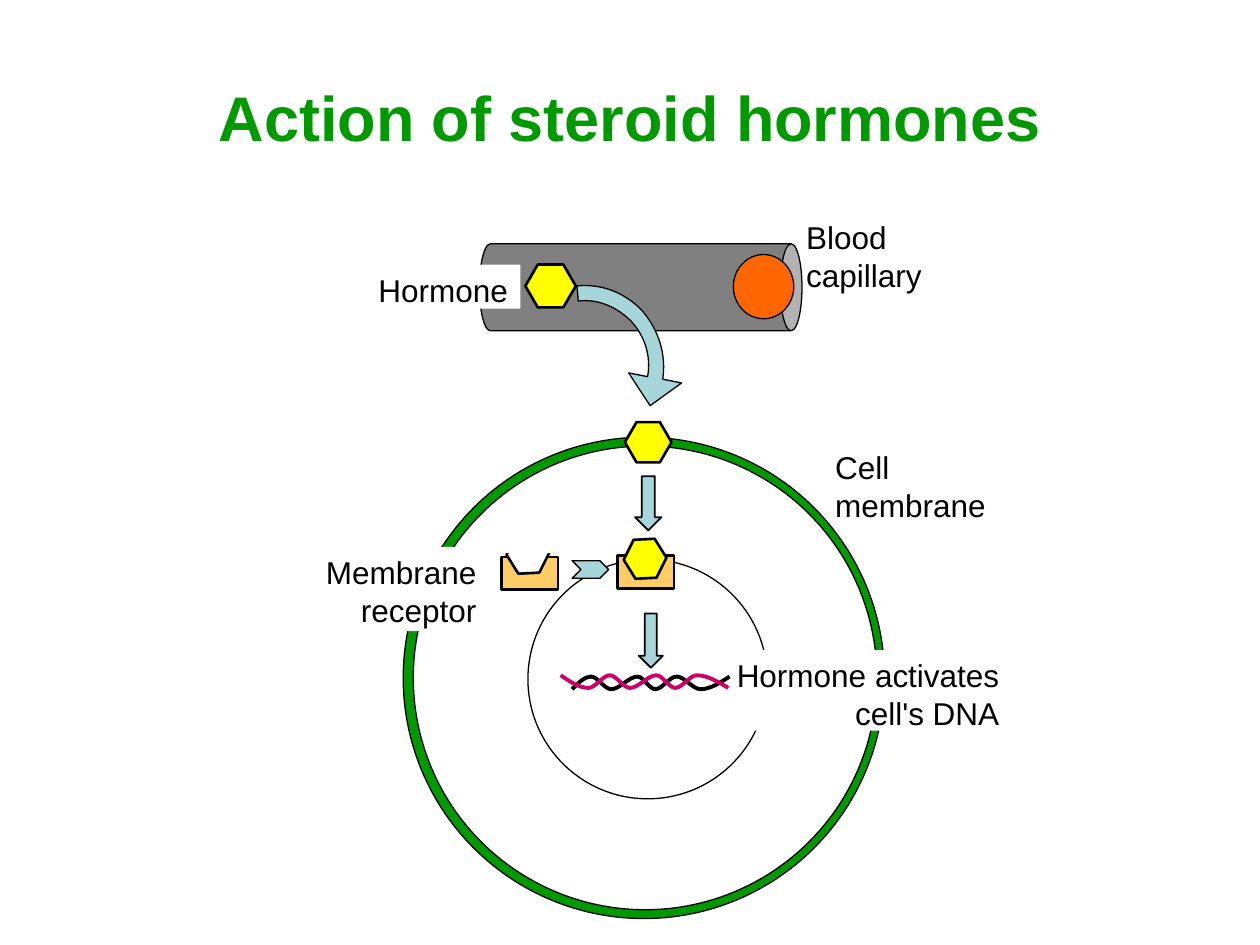
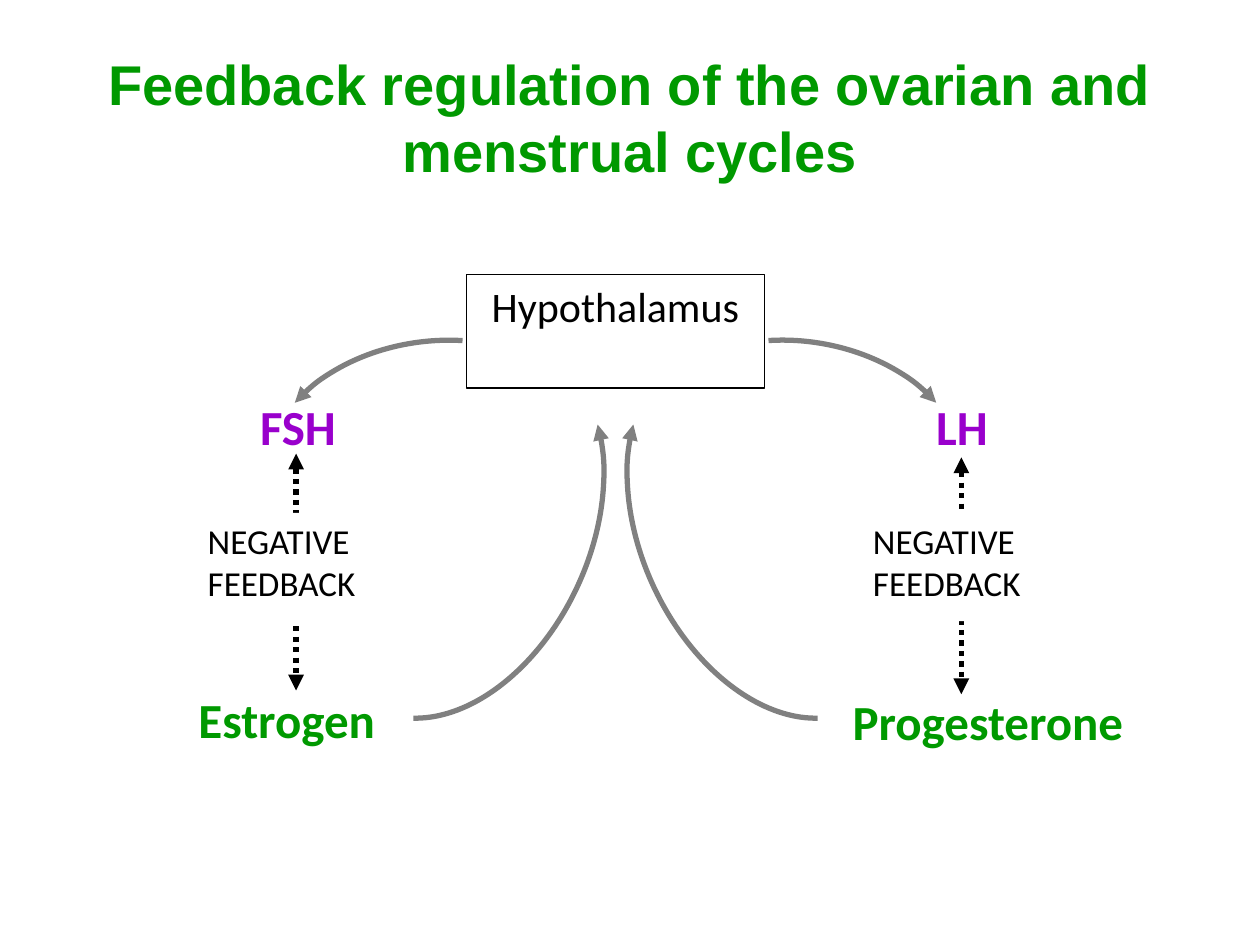
"""Build two slides on steroid hormone action and hormonal feedback."""
from itertools import pairwise

from lxml import etree
from pptx import Presentation
from pptx.dml.color import RGBColor
from pptx.enum import dml, shapes, text
from pptx.oxml.ns import qn
from pptx.util import Inches, Pt

COLORS = {
    "green": "009900", "white": "FFFFFF", "black": "000000", "gray": "808080",
    "orange": "FF6600", "yellow": "FFFF00", "sand": "FFCC66", "teal": "A6D6DA",
    "pink": "CC0066", "purple": "9900CC",
}
PRESET = shapes.MSO_SHAPE
ALIGN = text.PP_ALIGN
TITLE_BOX = (0.5, 0.3, 9, 1.25)

STEROID_TITLE = ("Action of steroid hormones", 36)
FEEDBACK_TITLE = ("Feedback regulation of the ovarian and menstrual cycles", 32)

CAPILLARY_LABELS = [
    ("Cell membrane", (6.53, 3.51, 1.7, 0.83), ALIGN.LEFT),
    ("Blood\ncapillary", (6.3, 1.68, 1.73, 0.77), ALIGN.LEFT),
]
HORMONE_LABEL = ("Hormone", (2.01, 2.1, 2.12, 0.35), ALIGN.RIGHT)
RECEPTOR_LABEL = ("Membrane receptor", (1.89, 4.34, 1.99, 0.67), ALIGN.RIGHT)
DNA_LABEL = ("Hormone activates\ncell's DNA", (5.61, 5.16, 2.42, 0.64), ALIGN.RIGHT)

CAPILLARY_AND_CELL = [
    (PRESET.CAN, (4.74, 1, 0.69, 2.56), "gray", 0.75, 90, 0.25),
    (PRESET.OVAL, (5.82, 2.02, 0.48, 0.51), "orange", 0.75, 0, None),
    (PRESET.HEXAGON, (4.17, 2.1, 0.4, 0.34), "yellow", 1.5, 0, 0.29),
    (PRESET.OVAL, (3.2, 3.47, 3.82, 3.82), "green", 0.75, 0, None),
    (PRESET.OVAL, (3.28, 3.54, 3.68, 3.68), "white", 0.75, 0, None),
    (PRESET.HEXAGON, (4.96, 3.35, 0.37, 0.32), "yellow", 1.5, 0, 0.29),
]
EMPTY_RECEPTOR = [
    (PRESET.RECTANGLE, (3.98, 4.42, 0.45, 0.26), "sand", 1.5, 0, None),
    (PRESET.HEXAGON, (4.02, 4.24, 0.34, 0.31), "white", 1.5, -2.8, 0.28),
    (PRESET.RECTANGLE, (4.01, 4.18, 0.39, 0.21), "white", None, 0, None),
]
NUCLEUS_AND_BOUND_RECEPTOR = [
    (PRESET.DOWN_ARROW, (5.04, 3.78, 0.21, 0.43), "teal", 1, 0, None),
    (PRESET.OVAL, (4.19, 4.44, 1.9, 1.9), "white", 0.75, 0, None),
    (PRESET.CHEVRON, (4.54, 4.45, 0.29, 0.14), "teal", 0.75, 0, None),
    (PRESET.RECTANGLE, (4.9, 4.41, 0.45, 0.26), "sand", 1.5, 0, None),
    (PRESET.HEXAGON, (4.95, 4.28, 0.34, 0.31), "yellow", 1.5, -2.8, 0.28),
]
DNA_ARROW = (PRESET.DOWN_ARROW, (5.07, 4.87, 0.19, 0.43), "teal", 1, 0, None)

EXIT_ARROW_START = (5.14, 2.99)
EXIT_ARROW = [
    [(5.17, 2.83), (5.12, 2.67), (5.01, 2.55)],
    [(4.9, 2.44), (4.75, 2.37), (4.59, 2.39)],
    [(4.58, 2.27)],
    [(4.77, 2.25), (4.96, 2.32), (5.1, 2.47)],
    [(5.23, 2.62), (5.29, 2.82), (5.26, 3.01)],
    [(5.41, 3.04)], [(5.16, 3.22)], [(4.99, 2.96)],
]
DNA_STRANDS = [
    ([4.54, 4.69, 4.85, 5.06, 5.2, 5.37, 5.56, 5.79], 5.47, 5.37, "black"),
    ([4.45, 4.67, 4.84, 5, 5.21, 5.36, 5.53, 5.78], 5.36, 5.46, "pink"),
]

FEEDBACK_LINES = [(7.63, 3.63, 5.51), (2.35, 3.6, 5.48)]
HYPOTHALAMUS = ("Hypothalamus", (3.7, 2.18, 2.37, 0.9))
HORMONES = [
    ("FSH", (1.8, 3.1, 1.13, 0.75), "purple"),
    ("LH", (7.07, 3.1, 1.13, 0.75), "purple"),
    ("Estrogen", (1.34, 5.42, 1.87, 0.77), "green"),
    ("Progesterone", (6.47, 5.44, 2.74, 0.9), "green"),
]
FEEDBACK_LEFTS = (1.55, 6.83)
RIGHT_ARCS = [
    ((5.09, 2.66, 2.05, 3.12), -24.8, 100.6, 242.8),
    ((5.42, 2.32, 1.85, 2.63), 98.5, 156.7, 239.5),
]
ARC_MIRROR = 9.77


def rgb(name):
    return RGBColor.from_string(COLORS[name])


def style(item, fill=None, weight=None, line="black"):
    item.shadow.inherit = False
    if fill:
        item.fill.solid()
        item.fill.fore_color.rgb = rgb(fill)
    else:
        item.fill.background()
    if weight:
        item.line.width = Pt(weight)
        item.line.color.rgb = rgb(line)
    else:
        item.line.fill.background()


def add_part(slide, preset, box, fill=None, weight=None, rotation=0, adjust=None, line="black"):
    part = slide.shapes.add_shape(preset, *map(Inches, box))
    style(part, fill, weight, line)
    part.rotation = rotation
    if adjust is not None:
        part.adjustments[0] = adjust
    return part


def write(frame, words, size, font, color="black", align=ALIGN.LEFT, bold=False,
          anchor=text.MSO_ANCHOR.TOP):
    frame.text = words
    frame.word_wrap = True
    frame.auto_size = text.MSO_AUTO_SIZE.NONE
    frame.vertical_anchor = anchor
    for paragraph in frame.paragraphs:
        paragraph.alignment = align
        paragraph.font.size = Pt(size)
        paragraph.font.name = font
        paragraph.font.bold = bold
        paragraph.font.color.rgb = rgb(color)


def add_label(slide, words, box, align, size=18, font="Arial", color="black",
              fill="white", weight=None, bold=False):
    label = add_part(slide, PRESET.RECTANGLE, box, fill, weight)
    write(label.text_frame, words, size, font, color, align, bold)


def add_titled_slide(deck, words, size):
    slide = deck.slides.add_slide(deck.slide_layouts[5])
    title = slide.shapes.title
    title.left, title.top, title.width, title.height = map(Inches, TITLE_BOX)
    write(title.text_frame, words, size, "Arial", "green", ALIGN.CENTER, True,
          text.MSO_ANCHOR.MIDDLE)
    return slide


def add_curve(slide, start, segments, close=False):
    """Draw a freeform whose three-point segments are Bezier curves."""
    builder = slide.shapes.build_freeform(*map(Inches, start), scale=1.0)
    points = [tuple(map(Inches, point)) for segment in segments for point in segment]
    builder.add_line_segments(points, close=close)
    curve = builder.convert_to_shape()
    steps = iter(list(curve._element.iter(qn("a:lnTo"))))
    for segment in segments:
        group = [next(steps) for _ in segment]
        if len(group) == 3:
            bezier = etree.Element(qn("a:cubicBezTo"))
            group[0].addprevious(bezier)
            for step in group:
                bezier.append(step[0])
                step.getparent().remove(step)
    return curve


def add_strand(slide, knots, first_y, second_y, color):
    ys = [(first_y, second_y)[i % 2] for i in range(len(knots))]
    middle = (first_y + second_y) / 2
    segments = []
    for (x0, y0), (x1, y1) in pairwise(zip(knots, ys)):
        third = (x1 - x0) / 3
        segments.append([
            (x0 + third, middle if x0 == knots[0] else y0),
            (x1 - third, middle if x1 == knots[-1] else y1),
            (x1, y1),
        ])
    style(add_curve(slide, (knots[0], first_y), segments), None, 2.25, color)


def add_arrowheads(item, *ends):
    for end in ends:
        etree.SubElement(item.line._get_or_add_ln(), qn(f"a:{end}"), type="triangle")


def add_arc(slide, box, rotation, start, end, arrow_end):
    arc = add_part(slide, PRESET.ARC, box, None, 3, rotation, line="gray")
    for i, angle in enumerate((start, end)):
        arc.adjustments[i] = angle % 360 * 0.6
    add_arrowheads(arc, arrow_end)


def build_steroid_slide(deck):
    slide = add_titled_slide(deck, *STEROID_TITLE)
    for label in CAPILLARY_LABELS:
        add_label(slide, *label)
    for part in CAPILLARY_AND_CELL:
        add_part(slide, *part)
    style(add_curve(slide, EXIT_ARROW_START, EXIT_ARROW, close=True), "teal", 0.75)
    add_label(slide, *HORMONE_LABEL)
    for part in EMPTY_RECEPTOR:
        add_part(slide, *part)
    add_label(slide, *RECEPTOR_LABEL)
    for part in NUCLEUS_AND_BOUND_RECEPTOR:
        add_part(slide, *part)
    add_label(slide, *DNA_LABEL)
    for strand in DNA_STRANDS:
        add_strand(slide, *strand)
    add_part(slide, *DNA_ARROW)


def build_feedback_slide(deck):
    slide = add_titled_slide(deck, *FEEDBACK_TITLE)
    for x, top, bottom in FEEDBACK_LINES:
        feedback = slide.shapes.add_connector(
            shapes.MSO_CONNECTOR.STRAIGHT, *map(Inches, (x, top, x, bottom)))
        feedback.line.width = Pt(3)
        feedback.line.color.rgb = rgb("black")
        feedback.line.dash_style = dml.MSO_LINE.ROUND_DOT
        feedback.line._get_or_add_ln().find(qn("a:prstDash")).set("val", "sysDot")
        add_arrowheads(feedback, "headEnd", "tailEnd")
        etree.SubElement(feedback._element.spPr, qn("a:effectLst"))
    add_label(slide, *HYPOTHALAMUS, ALIGN.CENTER, 24, "Calibri", weight=0.75)
    for name, box, color in HORMONES:
        add_label(slide, name, box, ALIGN.CENTER, 28, "Calibri", color, None, bold=True)
    for left in FEEDBACK_LEFTS:
        add_label(slide, "NEGATIVE\nFEEDBACK", (left, 4.07, 1.59, 0.86), ALIGN.LEFT,
                  20, "Calibri")
    for (left, top, width, height), rotation, start, end in RIGHT_ARCS:
        add_arc(slide, (left, top, width, height), rotation, start, end, "tailEnd")
        mirrored = (ARC_MIRROR - left - width, top, width, height)
        add_arc(slide, mirrored, -rotation, 180 - end, 180 - start, "headEnd")


def main():
    deck = Presentation()
    deck.slide_width, deck.slide_height = Inches(10), Inches(7.5)
    build_steroid_slide(deck)
    build_feedback_slide(deck)
    deck.save("out.pptx")


if __name__ == "__main__":
    main()
